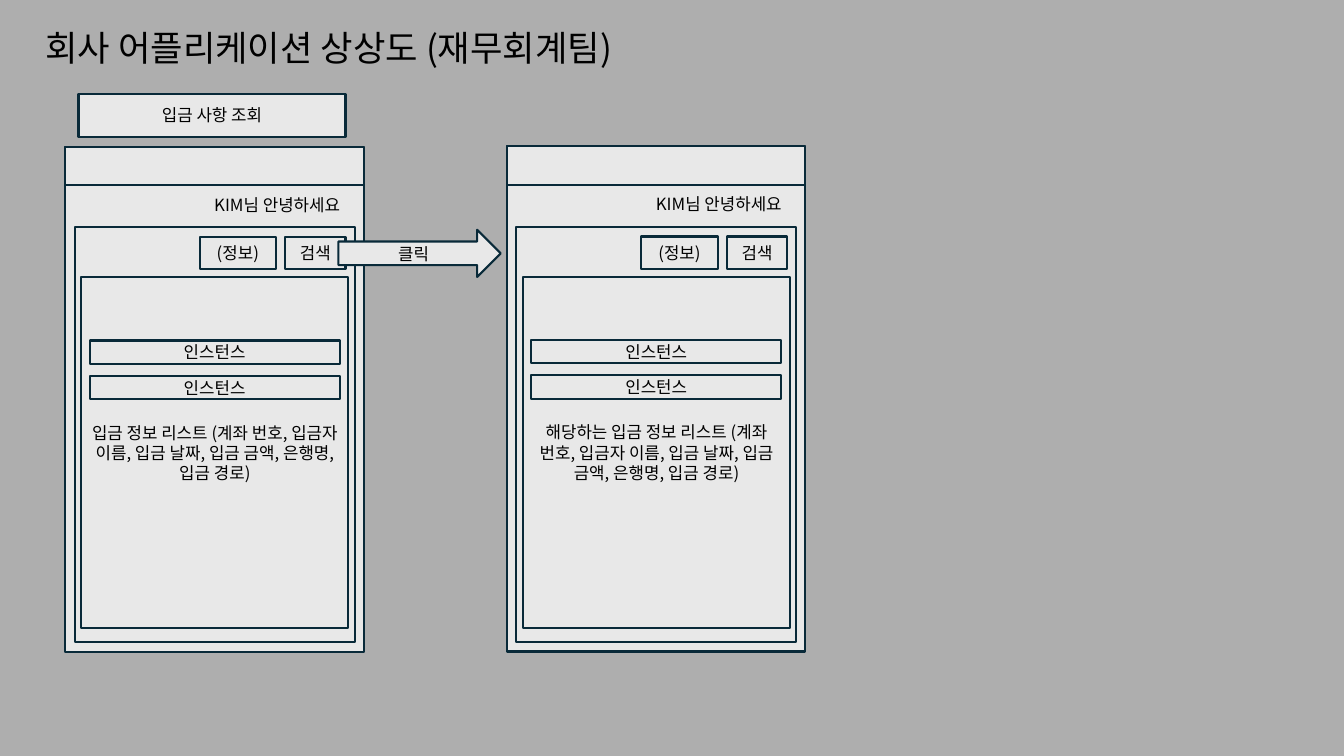
"""Build the finance team application mock-up slide."""
from dataclasses import dataclass

from lxml.etree import SubElement
from pptx import Presentation
from pptx.dml.color import RGBColor
from pptx.enum.shapes import MSO_SHAPE as Shape
from pptx.enum.text import MSO_ANCHOR as Anchor, MSO_AUTO_SIZE as AutoSize, PP_ALIGN as Align
from pptx.oxml.ns import qn
from pptx.shapes.base import BaseShape
from pptx.slide import Slide
from pptx.util import Cm, Pt


@dataclass(frozen=True)
class Theme:
    background: RGBColor = RGBColor(0xAE, 0xAE, 0xAE)
    fill: RGBColor = RGBColor(0xE8, 0xE8, 0xE8)
    outline: RGBColor = RGBColor(0x09, 0x2A, 0x39)
    ink: RGBColor = RGBColor(0, 0, 0)
    font: str = "Noto Sans CJK KR"
    title_size: float = 25.2
    body_size: float = 12
    line_width: float = 1.5


@dataclass(frozen=True)
class Box:
    left: float
    top: float
    width: float
    height: float
    text: str = ""
    kind: Shape = Shape.RECTANGLE


@dataclass(frozen=True)
class Phone:
    left: float
    top: float
    list_text: str


THEME = Theme()
TITLE = Box(0.36, 0.33, 15.85, 1.55, "회사 어플리케이션 상상도 (재무회계팀)")
HEADING = Box(1.98, 2.36, 6.73, 1.09, "입금 사항 조회")
CLICK_ARROW = Box(8.53, 5.79, 4.09, 1.19, "클릭", Shape.RIGHT_ARROW)
GREETING = Box(3.5, 1.07, 4.09, 0.77, "KIM님 안녕하세요")
FRAME = [
    Box(0, 0, 7.52, 12.73),
    Box(0, 0, 7.52, 0.97),
    Box(0.23, 2.03, 7.06, 10.46),
]
CONTROLS = [
    Box(5.54, 2.27, 1.52, 0.82, "검색"),
    Box(3.38, 2.27, 1.93, 0.82, "(정보)"),
    *(Box(0.61, 4.88 + 0.89 * row, 6.3, 0.59, "인스턴스") for row in range(2)),
]
PHONES = [
    Phone(1.65, 3.7, "입금 정보 리스트 (계좌 번호, 입금자 이름, 입금 날짜, 입금 금액, 은행명, 입금 경로)"),
    Phone(12.78, 3.69, "해당하는 입금 정보 리스트 (계좌 번호, 입금자 이름, 입금 날짜, 입금 금액, 은행명, 입금 경로)"),
]


def apply(target: object, values: dict[str, object]) -> None:
    for name, value in values.items():
        setattr(target, name, value)


def write(shape: BaseShape, text: str, size: float, align: Align, anchor: Anchor) -> None:
    frame = shape.text_frame
    apply(frame, {"word_wrap": True, "auto_size": AutoSize.NONE, "vertical_anchor": anchor})
    paragraph = frame.paragraphs[0]
    paragraph.alignment = align
    run = paragraph.add_run()
    run.text = text
    apply(run.font, {"size": Pt(size), "name": THEME.font, "bold": False})
    run.font.color.rgb = THEME.ink
    SubElement(run.font._element, qn("a:ea")).set("typeface", THEME.font)


def bounds(box: Box, left: float = 0, top: float = 0) -> list[Cm]:
    return [Cm(value) for value in (box.left + left, box.top + top, box.width, box.height)]


def draw_box(slide: Slide, box: Box, left: float = 0, top: float = 0) -> None:
    shape = slide.shapes.add_shape(box.kind, *bounds(box, left, top))
    shape.shadow.inherit = False
    shape.fill.solid()
    shape.fill.fore_color.rgb = THEME.fill
    shape.line.color.rgb = THEME.outline
    shape.line.width = Pt(THEME.line_width)
    if box.text:
        write(shape, box.text, THEME.body_size, Align.CENTER, Anchor.MIDDLE)


def draw_phone(slide: Slide, phone: Phone) -> None:
    for box in FRAME:
        draw_box(slide, box, phone.left, phone.top)
    greeting = slide.shapes.add_textbox(*bounds(GREETING, phone.left, phone.top))
    write(greeting, GREETING.text, THEME.body_size, Align.LEFT, Anchor.TOP)
    for box in [Box(0.4, 3.29, 6.73, 8.84, phone.list_text), *CONTROLS]:
        draw_box(slide, box, phone.left, phone.top)


def draw_title(slide: Slide) -> None:
    title = slide.shapes.title
    apply(title, dict(zip(("left", "top", "width", "height"), bounds(TITLE))))
    write(title, TITLE.text, THEME.title_size, Align.CENTER, Anchor.BOTTOM)
    title.text_frame.paragraphs[0].line_spacing = 0.9


def main() -> None:
    presentation = Presentation()
    apply(presentation, {"slide_width": Cm(33.87), "slide_height": Cm(19.05)})
    slide = presentation.slides.add_slide(presentation.slide_layouts[5])
    slide.background.fill.solid()
    slide.background.fill.fore_color.rgb = THEME.background
    draw_title(slide)
    for phone in PHONES:
        draw_phone(slide, phone)
    for box in (HEADING, CLICK_ARROW):
        draw_box(slide, box)
    presentation.save("out.pptx")


if __name__ == "__main__":
    main()
